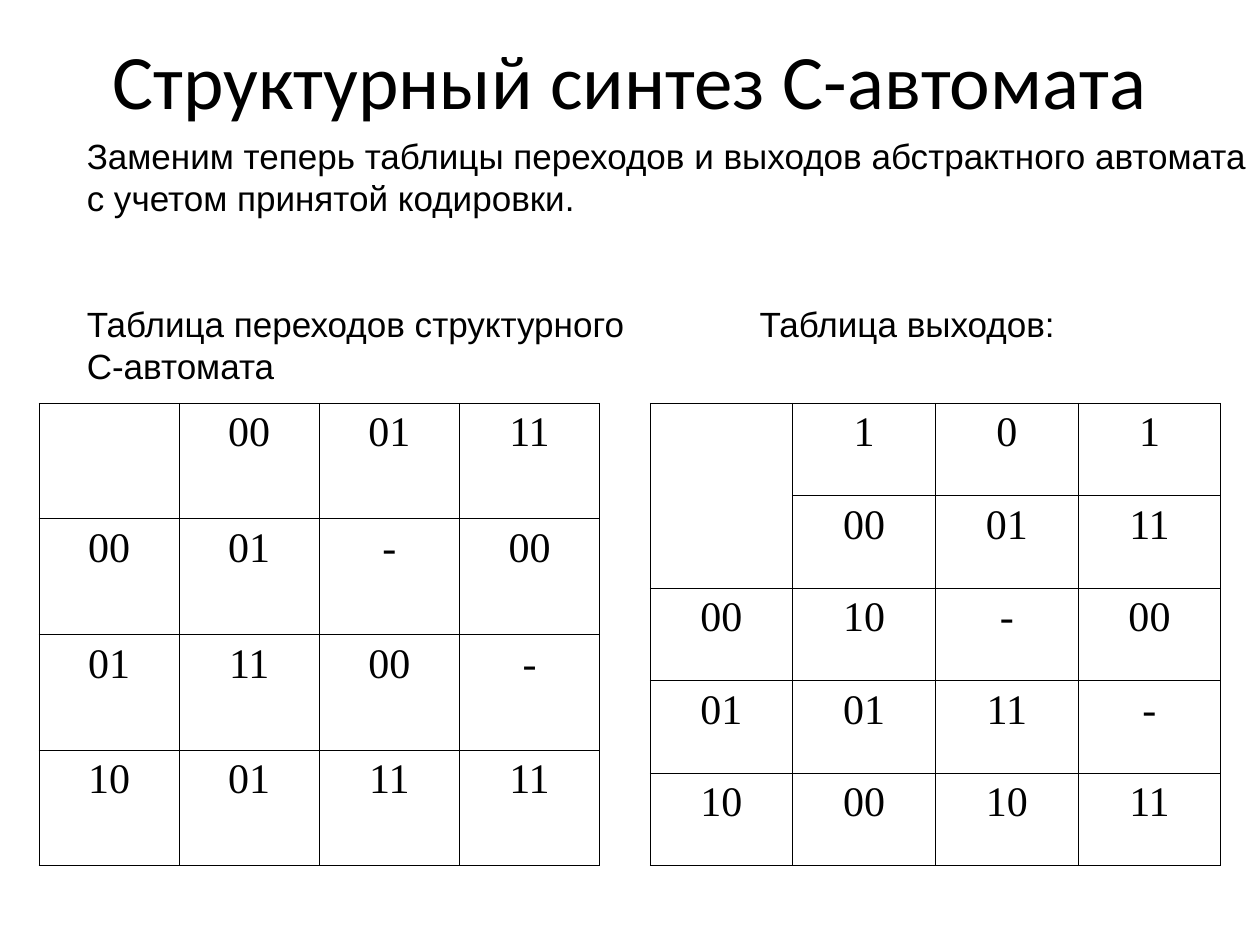
import pptx
import pptx.util
import pptx.dml.color
import pptx.enum.text
import pptx.oxml
import pptx.oxml.ns
from lxml import etree

COLORS = {"ink": "000000"}
TITLE = "Структурный синтез С-автомата"
PARAGRAPHS = [
    {"text": "Заменим теперь таблицы переходов и выходов абстрактного автомата с учетом принятой кодировки."},
    {"text": "Таблица переходов структурного\tТаблица выходов:", "before": 48, "tab": 5.34},
    {"text": "С-автомата"},
]
TRANSITIONS = [
    ["", "00", "01", "11"],
    ["00", "01", "-", "00"],
    ["01", "11", "00", "-"],
    ["10", "01", "11", "11"],
]
OUTPUTS = [
    ["", "1", "0", "1"],
    ["", "00", "01", "11"],
    ["00", "10", "-", "00"],
    ["01", "01", "11", "-"],
    ["10", "00", "10", "11"],
]
TABLE_TOP, TABLE_HEIGHT = 3.2, 3.67
TABLES = [
    {"rows": TRANSITIONS, "left": 0.31, "width": 4.45, "corner_rows": 1},
    {"rows": OUTPUTS, "left": 5.16, "width": 4.53, "corner_rows": 2},
]
ALIGN = pptx.enum.text.PP_ALIGN
ANCHOR = pptx.enum.text.MSO_ANCHOR
inches = pptx.util.Inches


def write(paragraph, text, font, size, align=ALIGN.LEFT, before=None, line=None, tab=None):
    paragraph.text = text
    paragraph.alignment = align
    if before:
        paragraph.space_before = pptx.util.Pt(before)
    if line:
        paragraph.line_spacing = pptx.util.Pt(line)
    if tab:
        properties = paragraph._p.get_or_add_pPr()
        tabs = etree.SubElement(properties, pptx.oxml.ns.qn("a:tabLst"))
        etree.SubElement(tabs, pptx.oxml.ns.qn("a:tab"), pos=str(inches(tab)), algn="l")
    paragraph.font.name = font
    paragraph.font.size = pptx.util.Pt(size)
    paragraph.font.color.rgb = pptx.dml.color.RGBColor.from_string(COLORS["ink"])


def add_borders(cell, width=0.45):
    properties = cell._tc.get_or_add_tcPr()
    for side in ("lnL", "lnR", "lnT", "lnB"):
        border = etree.SubElement(properties, pptx.oxml.ns.qn("a:" + side), w=str(pptx.util.Pt(width)))
        fill = etree.SubElement(border, pptx.oxml.ns.qn("a:solidFill"))
        etree.SubElement(fill, pptx.oxml.ns.qn("a:srgbClr"), val=COLORS["ink"])


def add_code_table(slide, rows, left, width, corner_rows):
    frame = slide.shapes.add_table(
        len(rows), len(rows[0]), inches(left), inches(TABLE_TOP), inches(width), inches(TABLE_HEIGHT))
    table = frame.table
    table.first_row = table.horz_banding = False
    for row_index, row in enumerate(rows):
        for column_index, value in enumerate(row):
            cell = table.cell(row_index, column_index)
            add_borders(cell)
            cell.fill.background()
            cell.margin_left = cell.margin_right = inches(0.08)
            cell.margin_top = cell.margin_bottom = inches(0.05)
            write(cell.text_frame.paragraphs[0], value, "Times New Roman", 24, align=ALIGN.CENTER)
    if corner_rows > 1:
        table.cell(0, 0).merge(table.cell(corner_rows - 1, 0))


def main():
    presentation = pptx.Presentation()
    presentation.slide_width, presentation.slide_height = inches(10), inches(7.5)
    slide = presentation.slides.add_slide(presentation.slide_layouts[5])

    title = slide.shapes.title
    title.left, title.top, title.width, title.height = map(inches, (0.5, 0, 9, 1.25))
    title.text_frame.vertical_anchor = ANCHOR.MIDDLE
    write(title.text_frame.paragraphs[0], TITLE, "Calibri", 44, align=ALIGN.CENTER)

    for table in TABLES:
        add_code_table(slide, **table)

    box = slide.shapes.add_textbox(*map(inches, (0.59, 1.02, 9.41, 2.1)))
    frame = box.text_frame
    frame.word_wrap = True
    frame.vertical_anchor = ANCHOR.MIDDLE
    for index, item in enumerate(PARAGRAPHS):
        paragraph = frame.add_paragraph() if index else frame.paragraphs[0]
        write(paragraph, font="Arial", size=20, line=24, **item)

    presentation.save("out.pptx")


if __name__ == "__main__":
    main()
